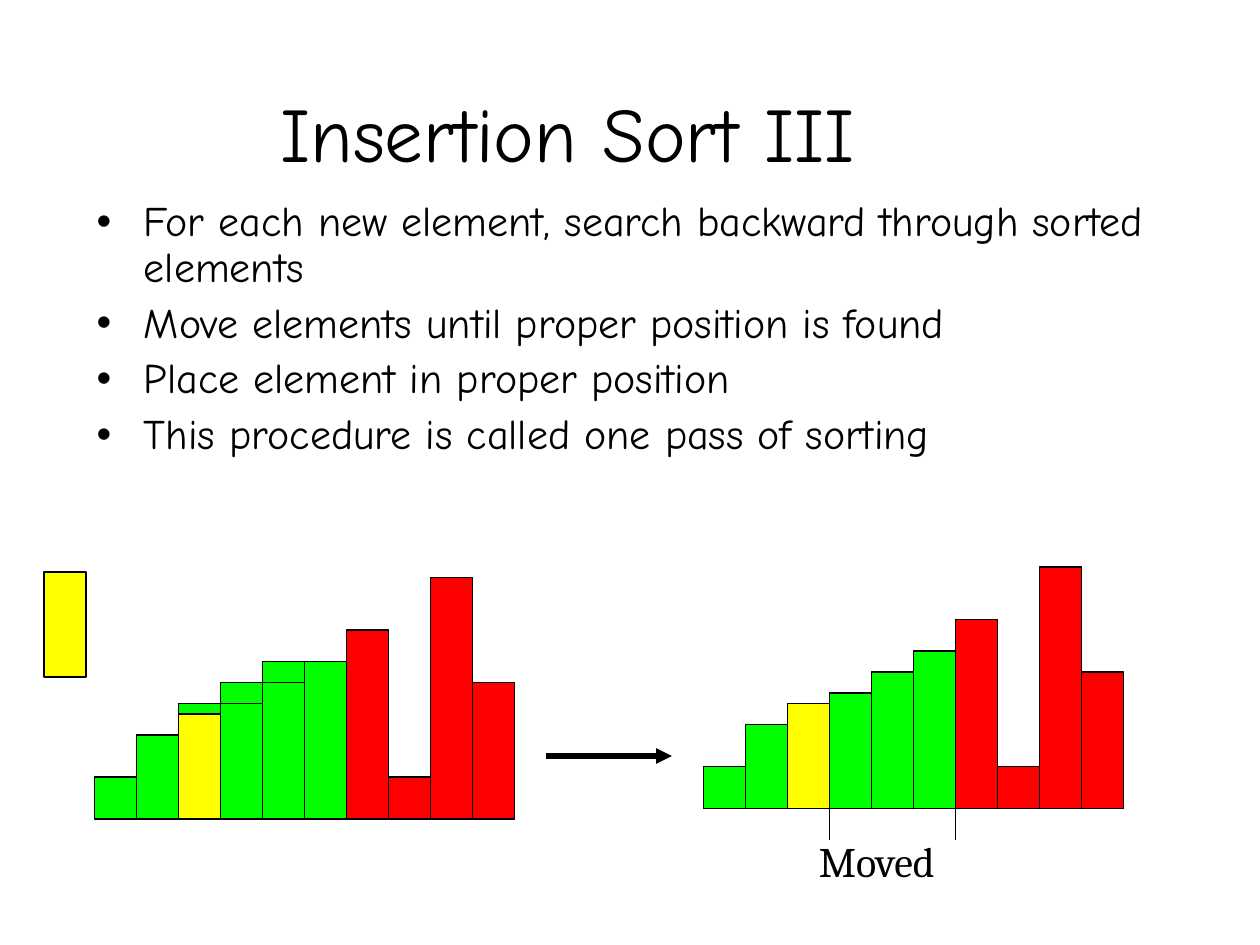
from lxml import etree
from pptx import Presentation
from pptx.dml.color import RGBColor
from pptx.enum.shapes import MSO_CONNECTOR, MSO_SHAPE
from pptx.enum.text import MSO_ANCHOR, MSO_AUTO_SIZE, PP_ALIGN
from pptx.oxml.ns import qn
from pptx.util import Pt

RECTANGLE = MSO_SHAPE.RECTANGLE
STRAIGHT = MSO_CONNECTOR.STRAIGHT
COLORS = {
    "ink": "000000",
    "sorted": "00FF00",
    "unsorted": "FF0000",
    "current": "FFFF00",
}
INK = RGBColor.from_string(COLORS["ink"])
BAR_WIDTH = 24
BULLETS = [
    "For each new element, search backward through sorted elements",
    "Move elements until proper position is found",
    "Place element in proper position",
    "This procedure is called one pass of sorting",
]


def add_bar(left, bottom, height, role):
    bar = page.shapes.add_shape(
        RECTANGLE, Pt(left), Pt(bottom - height), Pt(BAR_WIDTH), Pt(height)
    )
    bar.shadow.inherit = False
    bar.fill.solid()
    bar.fill.fore_color.rgb = RGBColor.from_string(COLORS[role])
    bar.line.color.rgb = INK
    bar.line.width = Pt(1)


def add_line(start, end, width):
    line = page.shapes.add_connector(STRAIGHT, *map(Pt, start + end))
    line.line.color.rgb = INK
    line.line.width = Pt(width)
    etree.SubElement(line._element.spPr, qn("a:effectLst"))
    return line


deck = Presentation()
deck.slide_width, deck.slide_height = Pt(720), Pt(540)
page = deck.slides.add_slide(deck.slide_layouts[1])
title = page.shapes.title
body = page.placeholders[1]
label = page.shapes.add_textbox(Pt(460.8), Pt(474), Pt(92), Pt(36))

text_boxes = [
    (title, (54, 12.25, 541, 126), ["Insertion Sort III"], 44, "Comic Neue",
     {"alignment": PP_ALIGN.CENTER}),
    (body, (48, 111, 630, 186), BULLETS, 24, "Comic Neue",
     {"line_spacing": 0.9}),
    (label, (460.8, 474, 92, 36), ["Moved"], 24, "Cambria", {}),
]
for box, place, lines, size, font_name, formats in text_boxes:
    box.left, box.top, box.width, box.height = map(Pt, place)
    frame = box.text_frame
    frame.text = "\n".join(lines)
    frame.auto_size = MSO_AUTO_SIZE.NONE
    frame.word_wrap = box is not label
    for index, para in enumerate(frame.paragraphs):
        if box is body:
            properties = para._p.get_or_add_pPr()
            properties.set("marL", str(Pt(27)))
            properties.set("indent", str(-Pt(27)))
            etree.SubElement(properties, qn("a:buChar"), char="•")
        para.space_before = Pt(6 if index else 0)
        for name, value in formats.items():
            setattr(para, name, value)
        for span in para.runs:
            span.font.size = Pt(size)
            span.font.name = font_name
            span.font.color.rgb = INK
title.text_frame.vertical_anchor = MSO_ANCHOR.MIDDLE
label.text_frame.auto_size = MSO_AUTO_SIZE.SHAPE_TO_FIT_TEXT

add_bar(25.2, 387, 60, "current")

before = [
    (0, 24, "sorted"), (1, 48, "sorted"), (2, 66, "sorted"),
    (3, 78, "sorted"), (4, 90, "sorted"), (6, 108, "unsorted"),
    (7, 24, "unsorted"), (8, 138, "unsorted"), (9, 78, "unsorted"),
    (5, 90, "sorted"), (4, 78, "sorted"), (3, 66, "sorted"),
    (2, 60, "current"),
]
after = [
    (0, 24, "sorted"), (1, 48, "sorted"), (2, 60, "current"),
    (3, 66, "sorted"), (4, 78, "sorted"), (5, 90, "sorted"),
    (6, 108, "unsorted"), (7, 24, "unsorted"), (8, 138, "unsorted"),
    (9, 78, "unsorted"),
]
for left, bottom, bars in [(54, 468, before), (402, 462, after)]:
    for slot, height, role in bars:
        add_bar(left + slot * BAR_WIDTH, bottom, height, role)

arrow = add_line((312, 432), (384, 432), 3)
etree.SubElement(arrow.line._get_or_add_ln(), qn("a:tailEnd"), type="triangle")
for x, top in [(474, 456), (546, 462)]:
    add_line((x, top), (x, 480), 1)

deck.save("out.pptx")
